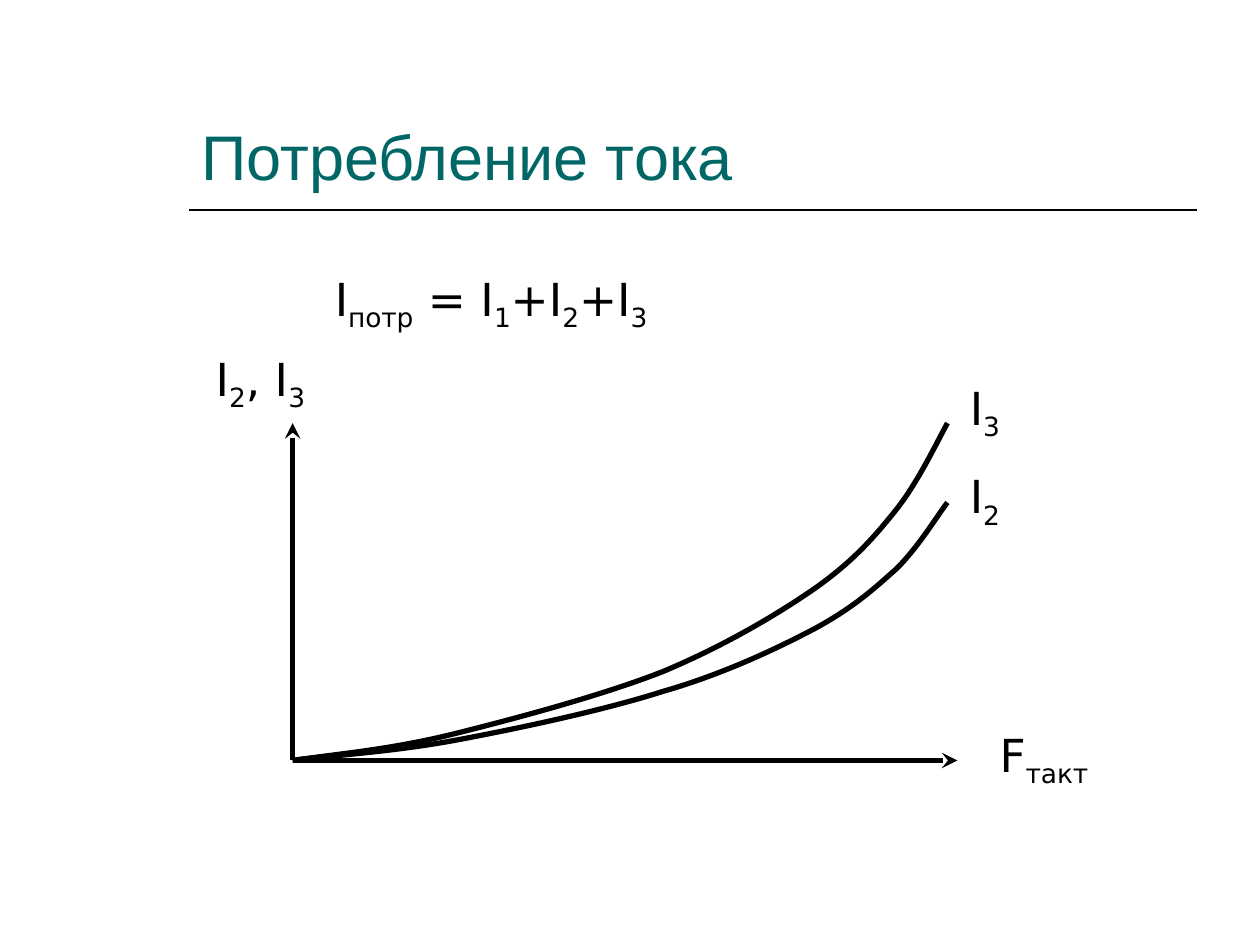
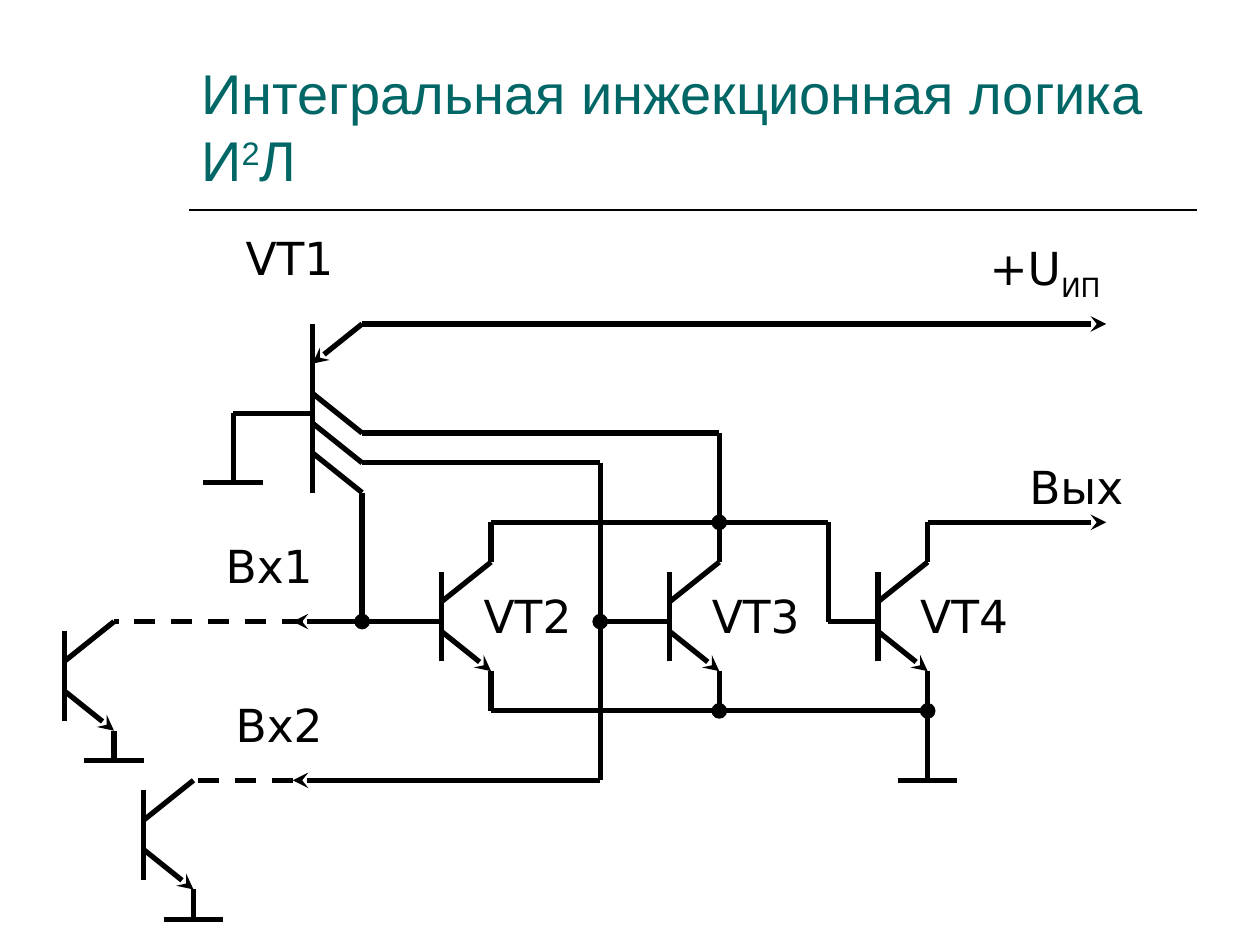
import itertools
import pptx
import pptx.dml.color
import pptx.enum.dml
import pptx.enum.shapes
import pptx.enum.text
import pptx.oxml.ns
import pptx.oxml.xmlchemy
import pptx.util

Cm = pptx.util.Cm
qn = pptx.oxml.ns.qn
OxmlElement = pptx.oxml.xmlchemy.OxmlElement
COLORS = {"title": "006666", "ink": "000000"}
TITLE_FONT, LABEL_FONT = "Arial", "DejaVu Sans"

CURRENT_TITLE = "Потребление тока"
CURRENT_LABELS = [
    ("I|потр| = I|1|+I|2|+I|3", 6.5, 5.33, 9.8, 1.52),
    ("I|2|, I|3", 4.1, 6.95, 3.2, 1.52),
    ("F|такт", 19.9, 14.53, 3.2, 1.52),
    ("I|3", 19.3, 7.53, 3.2, 1.52),
    ("I|2", 19.3, 9.32, 3.2, 1.52),
]
AXES = [
    ("stealth", [(5.9, 15.33), (5.9, 8.53)]),
    ("stealth", [(5.9, 15.33), (19.3, 15.33)]),
]
CURVE_X = [5.9, 6.88, 7.85, 9.09, 10.34, 12.14, 13.36, 14.58,
           15.65, 16.43, 17.22, 17.63, 18.08, 18.52, 18.9, 19.1]
CURVES_Y = {
    "I2": [15.33, 15.21, 15.16, 14.94, 14.71, 14.33, 13.94, 13.59,
           13.08, 12.67, 12.24, 11.86, 11.46, 11.02, 10.39, 10.13],
    "I3": [15.33, 15.19, 15.11, 14.81, 14.5, 14.02, 13.54, 13.03,
           12.4, 11.86, 11.3, 10.82, 10.26, 9.7, 8.89, 8.53],
}

LOGIC_TITLE = "Интегральная инжекционная логика\vИ|2|Л"
LOGIC_LABELS = [
    ("VT1", 4.7, 4.52, 2.6, 1.37),
    ("+U|ИП", 19.7, 4.72, 3.4, 1.52),
    ("Вх1", 4.3, 10.72, 2.6, 1.37),
    ("Вх2", 4.5, 13.92, 2.6, 1.37),
    ("Вых", 20.5, 9.12, 3.4, 1.37),
]
GATES = [("VT2", 8.9, 12.53), ("VT3", 13.5, 12.53), ("VT4", 17.7, 12.53)]
INPUT_STAGES = [(1.3, 13.73), (2.9, 16.93)]
GROUNDS = [(4.7, 9.73), (18.7, 15.73)]
WIRES = [
    (None, [(6.3, 9.93), (6.3, 6.53)]),
    ("stealth", [(7.3, 6.53), (6.3, 7.33)]),
    ("stealth", [(7.3, 6.53), (22.3, 6.53)]),
    (None, [(6.3, 8.33), (4.7, 8.33), (4.7, 9.73)]),
    ("oval", [(6.3, 7.93), (7.3, 8.73), (14.5, 8.73), (14.5, 10.53)]),
    ("oval", [(6.3, 8.53), (7.3, 9.33), (12.1, 9.33), (12.1, 12.53)]),
    ("oval", [(6.3, 9.13), (7.3, 9.93), (7.3, 12.53)]),
    ("stealth", [(8.9, 12.53), (5.9, 12.53)]),
    (None, [(12.1, 12.53), (13.5, 12.53)]),
    ("stealth", [(12.1, 12.53), (12.1, 15.73), (5.9, 15.73)]),
    (None, [(9.9, 10.53), (16.7, 10.53), (16.7, 12.53), (17.7, 12.53)]),
    ("oval", [(9.9, 14.33), (14.5, 14.33)]),
    ("oval", [(14.5, 14.33), (18.7, 14.33)]),
    (None, [(18.7, 14.33), (18.7, 15.73)]),
    ("stealth", [(18.7, 10.53), (22.3, 10.53)]),
]
DASHED_WIRES = [[(6.1, 12.53), (2.3, 12.53)], [(5.9, 15.73), (3.9, 15.73)]]


def rgb(name):
    return pptx.dml.color.RGBColor.from_string(COLORS[name])


def add_text(s, text, x, y, w, h, size=26, font=LABEL_FONT, color="ink",
             shift=-25, anchor="TOP", grow=True):
    tf = s.shapes.add_textbox(Cm(x), Cm(y), Cm(w), Cm(h)).text_frame
    tf.word_wrap = True
    tf.vertical_anchor = pptx.enum.text.MSO_ANCHOR[anchor]
    fit = pptx.enum.text.MSO_AUTO_SIZE
    tf.auto_size = fit.SHAPE_TO_FIT_TEXT if grow else fit.NONE
    p = tf.paragraphs[0]
    for i, part in enumerate(text.split("|")):
        for j, line in enumerate(part.split("\v")):
            if j:
                p.add_line_break()
            r = p.add_run()
            r.text = line
            r.font.size = pptx.util.Pt(size)
            r.font.name = font
            r.font.color.rgb = rgb(color)
            if i % 2:
                r._r.get_or_add_rPr().set("baseline", str(shift * 1000))


def add_line(s, start, end, marker=None, width=3, dashed=False):
    straight = pptx.enum.shapes.MSO_CONNECTOR.STRAIGHT
    sp = s.shapes.add_connector(straight, *map(Cm, (*start, *end)))
    sp.line.color.rgb = rgb("ink")
    sp.line.width = pptx.util.Pt(width)
    if dashed:
        sp.line.dash_style = pptx.enum.dml.MSO_LINE.DASH
    if marker:
        tail = OxmlElement("a:tailEnd")
        tail.set("type", marker)
        sp.line._get_or_add_ln().append(tail)
    sp._element.spPr.append(OxmlElement("a:effectLst"))


def add_wire(s, marker, points):
    segments = list(itertools.pairwise(points))
    for i, (start, end) in enumerate(segments, 1):
        add_line(s, start, end, marker if i == len(segments) else None)


def add_curve(s, points):
    pts = [(Cm(x), Cm(y)) for x, y in points]
    fb = s.shapes.build_freeform(*pts[0])
    fb.add_line_segments(pts[1:], close=False)
    sp = fb.convert_to_shape()
    sp.shadow.inherit = False
    sp.fill.background()
    sp.line.color.rgb = rgb("ink")
    sp.line.width = pptx.util.Pt(3)
    lines = list(sp._element.iter(qn("a:lnTo")))
    outline = lines[0].getparent()
    for i in range(0, len(lines), 3):
        bezier = OxmlElement("a:cubicBezTo")
        for line in lines[i:i + 3]:
            bezier.append(line[0])
            outline.remove(line)
        outline.append(bezier)


def add_transistor(s, x, y):
    add_line(s, (x, y + 0.8), (x, y - 1))
    add_line(s, (x, y + 0.2), (x + 1, y + 1), "stealth")
    add_line(s, (x, y - 0.4), (x + 1, y - 1.2))


def add_ground(s, x, y):
    add_line(s, (x - 0.6, y), (x + 0.6, y))


def add_slide(prs, title, size, labels):
    s = prs.slides.add_slide(prs.slide_layouts[6])
    add_line(s, (3.81, 4.24), (24.13, 4.24), width=1)
    add_text(s, title, 3.81, 0.84, 20.32, 3.18, size=size, font=TITLE_FONT,
             color="title", shift=30, anchor="BOTTOM", grow=False)
    for label in labels:
        add_text(s, *label)
    return s


def main():
    prs = pptx.Presentation()
    prs.slide_width, prs.slide_height = Cm(25.4), Cm(19.05)

    s = add_slide(prs, CURRENT_TITLE, 36, CURRENT_LABELS)
    for marker, points in AXES:
        add_wire(s, marker, points)
    for ys in CURVES_Y.values():
        add_curve(s, zip(CURVE_X, ys))

    s = add_slide(prs, LOGIC_TITLE, 32, LOGIC_LABELS)
    for name, x, y in GATES:
        add_transistor(s, x, y)
        add_line(s, (x + 1, y - 1.2), (x + 1, y - 2))
        add_line(s, (x + 1, y + 1), (x + 1, y + 1.8))
        add_text(s, name, x + 0.6, y - 0.8, 2.6, 1.37)
    for x, y in INPUT_STAGES:
        add_transistor(s, x, y)
        add_line(s, (x + 1, y + 1), (x + 1, y + 1.6))
        add_ground(s, x + 1, y + 1.6)
    for x, y in GROUNDS:
        add_ground(s, x, y)
    for marker, points in WIRES:
        add_wire(s, marker, points)
    for start, end in DASHED_WIRES:
        add_line(s, start, end, dashed=True)

    prs.save("out.pptx")


if __name__ == "__main__":
    main()
